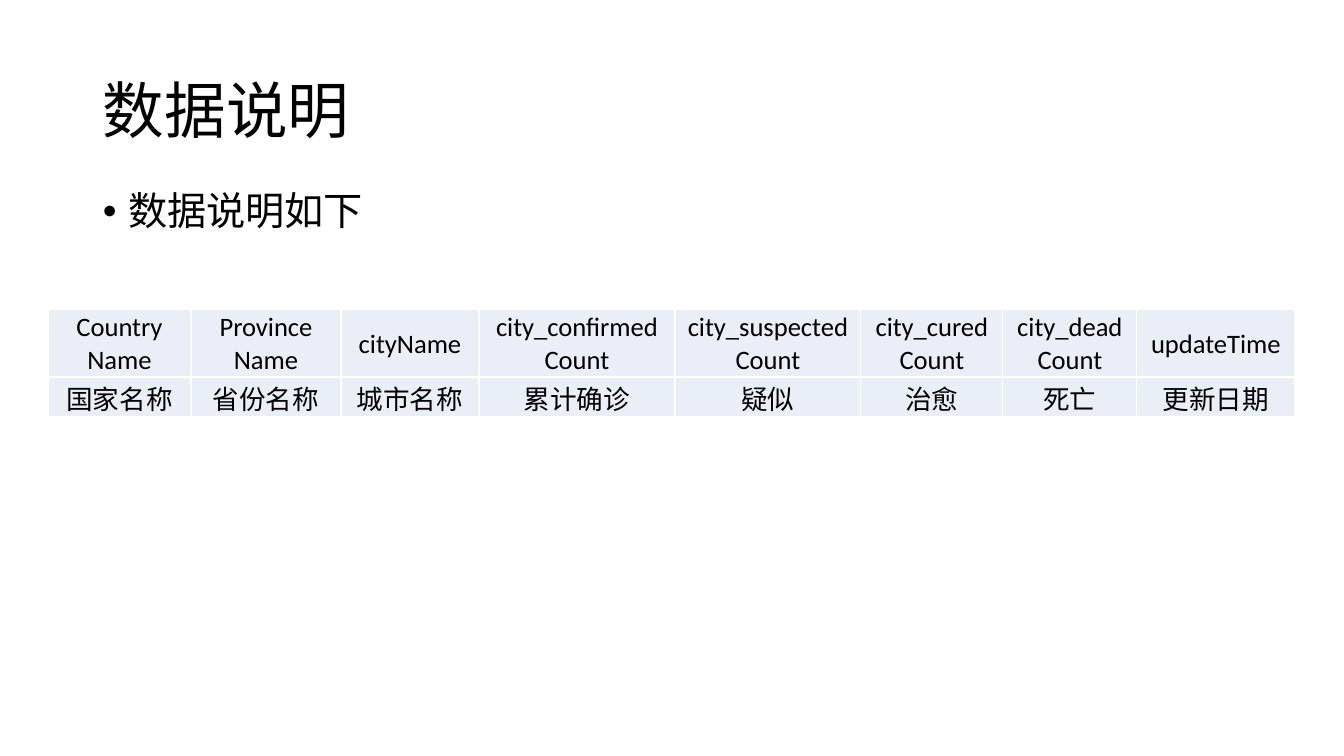
from lxml.etree import SubElement
from pptx import Presentation
from pptx.dml.color import RGBColor
from pptx.enum.text import MSO_ANCHOR as Anchor, PP_ALIGN as Align
from pptx.oxml import parse_xml
from pptx.oxml.ns import nsdecls, qn
from pptx.util import Pt

PX = 914400 / 100.8
COLORS = {"text": "000000", "cell": "EAEFF7", "border": "FFFFFF"}
LATIN, CHINESE = "Calibri", "Noto Sans CJK SC"


def px(*lengths):
    return [round(length * PX) for length in lengths]


def style(para, size, align, font=LATIN):
    para.alignment = align
    para.font.size = Pt(size)
    para.font.name = font
    para.font.color.rgb = RGBColor.from_string(COLORS["text"])
    for span in para.runs:
        SubElement(span.font._element, qn("a:ea"), typeface=CHINESE)


deck = Presentation()
deck.slide_width, deck.slide_height = px(1344, 756)
page = deck.slides.add_slide(deck.slide_layouts[6])

# Title and bullet
for text, place, size, align, anchor in [
    ("数据说明", (93, 41, 1159, 146), 44, Align.LEFT, Anchor.MIDDLE),
    ("数据说明如下", (93, 187, 1196, 247), 28, Align.JUSTIFY, Anchor.TOP),
]:
    box = page.shapes.add_textbox(*px(*place))
    box.text_frame.word_wrap = True
    box.text_frame.vertical_anchor = anchor
    para = box.text_frame.paragraphs[0]
    para.text = text
    para.line_spacing = 0.9
    style(para, size, align)

para.space_before = Pt(10)
bullet = para._p.get_or_add_pPr()
bullet.set("marL", "228600")
bullet.set("indent", "-228600")
bullet.insert_element_before(
    parse_xml(f'<a:buFont {nsdecls("a")} typeface="Arial"/>'), "a:defRPr")
bullet.insert_element_before(
    parse_xml(f'<a:buChar {nsdecls("a")} char="•"/>'), "a:defRPr")

# Field table: width, field name, meaning
fields = [
    (143, "Country\nName", "国家名称"),
    (150, "Province\nName", "省份名称"),
    (138, "cityName", "城市名称"),
    (196, "city_confirmed\nCount", "累计确诊"),
    (186, "city_suspected\nCount", "疑似"),
    (142, "city_cured\nCount", "治愈"),
    (134, "city_dead\nCount", "死亡"),
    (158, "updateTime", "更新日期"),
]
row_heights = px(68, 40)
total_width = sum(field[0] for field in fields)
table = page.shapes.add_table(
    len(row_heights), len(fields), *px(48, 309, total_width, 108)).table
table.first_row = table.horz_banding = False
for row, height in zip(table.rows, row_heights):
    row.height = height

for column, (width, *texts) in enumerate(fields):
    table.columns[column].width = px(width)[0]
    for row, text in enumerate(texts):
        cell = table.cell(row, column)
        cell.text = text
        cell.vertical_anchor = Anchor.MIDDLE
        cell.margin_left, cell.margin_top, cell.margin_right = px(2, 2, 2)
        cell.margin_bottom = 0
        for para in cell.text_frame.paragraphs:
            style(para, 19, Align.CENTER, CHINESE if text == "疑似" else LATIN)
        # Borders go before the fill
        props = cell._tc.get_or_add_tcPr()
        for side in ("lnL", "lnR", "lnT", "lnB"):
            props.append(parse_xml(
                f'<a:{side} {nsdecls("a")} w="12700"><a:solidFill>'
                f'<a:srgbClr val="{COLORS["border"]}"/></a:solidFill></a:{side}>'))
        cell.fill.solid()
        cell.fill.fore_color.rgb = RGBColor.from_string(COLORS["cell"])

deck.save("out.pptx")
